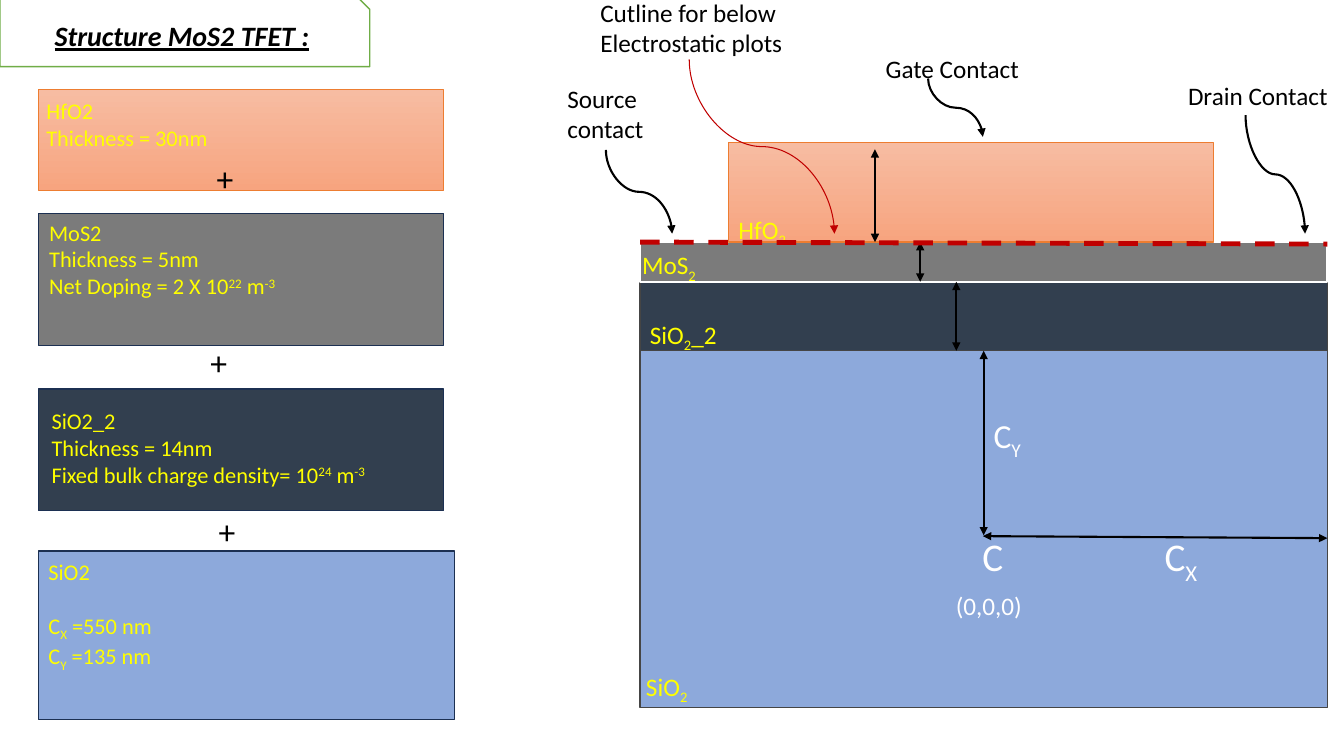
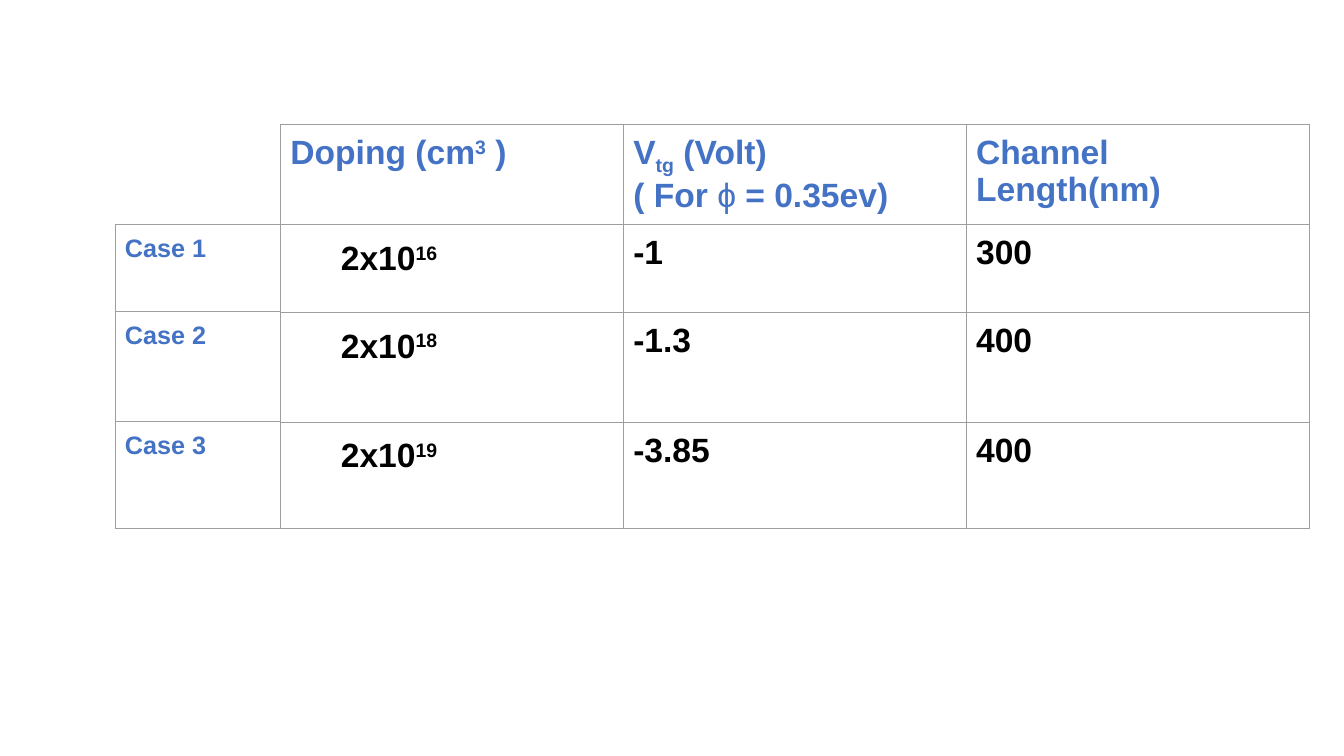
from lxml.etree import SubElement
from pptx import Presentation
from pptx.dml.color import RGBColor
from pptx.enum.dml import MSO_LINE
from pptx.enum.shapes import MSO_CONNECTOR as LINK, MSO_SHAPE as SHAPE
from pptx.enum.text import MSO_ANCHOR as ANCHOR, PP_ALIGN as ALIGN
from pptx.oxml.ns import qn
from pptx.util import Cm, Pt

WHITE, BLACK, YELLOW, RED = "FFFFFF", "000000", "FFFF00", "C00000"
OXIDE, CHARGED_OXIDE, CHANNEL = "8DA9DB", "323F4F", "7B7B7B"
DIELECTRIC = ("F7BCA2", "F7A47F")
DIELECTRIC_EDGE, CARD_EDGE, LAYER_EDGE = "ED7D31", "1C3052", "454545"
TITLE_EDGE, TABLE_BLUE, TABLE_EDGE = "70AD47", "4472C4", "9E9E9E"
BODY_FONT, TABLE_FONT = "Calibri", "Arial"

DEVICE_LEFT, DEVICE_WIDTH = 16.13, 17.32
DEVICE_RIGHT = DEVICE_LEFT + DEVICE_WIDTH
CHANNEL_TOP, CHARGED_TOP, OXIDE_TOP, OXIDE_BOTTOM = 6.1, 7.1, 8.84, 17.83


def rgb(color):
    return RGBColor.from_string(color)


def sub(text):
    return text, {"baseline": "-25000"}


def sup(text):
    return text, {"baseline": "30000"}


def light(text):
    return text, {"bold": False}


def write(frame, paragraphs, size=18, color=BLACK, font=BODY_FONT, bold=False,
          italic=False, underline=False, align=ALIGN.LEFT, line_spacing=None,
          indent=0, gap=None):
    """Fill a frame; a paragraph is a string or a list of runs.

    gap is (paragraph index, points before that paragraph).
    """
    frame.word_wrap = True
    for index, runs in enumerate(paragraphs):
        paragraph = frame.paragraphs[0] if index == 0 else frame.add_paragraph()
        paragraph.alignment = align
        if line_spacing:
            paragraph.line_spacing = line_spacing
        if indent:
            paragraph._p.get_or_add_pPr().set("marL", str(Cm(indent)))
        if gap and gap[0] == index:
            paragraph.space_before = Pt(gap[1])
        for piece in [runs] if isinstance(runs, str) else runs:
            text, change = (piece, {}) if isinstance(piece, str) else piece
            run = paragraph.add_run()
            run.text = text
            run.font.name, run.font.size = font, Pt(size)
            run.font.bold = change.get("bold", bold)
            run.font.italic, run.font.underline = italic, underline
            run.font.color.rgb = rgb(color)
            if "baseline" in change:
                run.font._element.set("baseline", change["baseline"])


def label(slide, left, top, width, height, *paragraphs, **text_format):
    box = slide.shapes.add_textbox(Cm(left), Cm(top), Cm(width), Cm(height))
    write(box.text_frame, paragraphs, **text_format)


def block(slide, left, top, width, height, fill, edge, weight=1.0, kind=SHAPE.RECTANGLE):
    """Draw an outlined shape; a pair of colours makes a downward gradient."""
    shape = slide.shapes.add_shape(kind, Cm(left), Cm(top), Cm(width), Cm(height))
    shape.shadow.inherit = False
    if isinstance(fill, tuple):
        shape.fill.gradient()
        shape.fill.gradient_angle = 270
        for stop, color in zip(shape.fill.gradient_stops, fill):
            stop.color.rgb = rgb(color)
    else:
        shape.fill.solid()
        shape.fill.fore_color.rgb = rgb(fill)
    shape.line.color.rgb = rgb(edge)
    shape.line.width = Pt(weight)
    return shape


def card(slide, top, width, height, fill, edge, inset, paragraphs, gap=None):
    shape = block(slide, 0.97, top, width, height, fill, edge)
    frame = shape.text_frame
    frame.vertical_anchor = ANCHOR.TOP
    frame.margin_left, frame.margin_top = Cm(inset[0]), Cm(inset[1])
    write(frame, paragraphs, size=16, color=YELLOW, gap=gap)


def connect(slide, kind, start, end, color, weight, heads=()):
    line = slide.shapes.add_connector(kind, *(Cm(v) for v in (*start, *end)))
    line.line.color.rgb = rgb(color)
    line.line.width = Pt(weight)
    for head in heads:
        SubElement(line.line._get_or_add_ln(), qn(f"a:{head}"), type="triangle")
    SubElement(line._element.spPr, qn("a:effectLst"))
    return line


def measure(slide, start, end):
    """Draw a double-headed dimension arrow."""
    return connect(slide, LINK.STRAIGHT, start, end, BLACK, 1.5, ("headEnd", "tailEnd"))


def callout(slide, start, end, color=BLACK, weight=1.5):
    """Draw a curved arrow that leaves and arrives vertically."""
    middle_x, middle_y = (start[0] + end[0]) / 2, (start[1] + end[1]) / 2
    half_x, half_y = (end[0] - start[0]) / 2, (end[1] - start[1]) / 2
    arrow = connect(slide, LINK.CURVE, (middle_x + half_y, middle_y - half_x),
                    (middle_x - half_y, middle_y + half_x), color, weight, ("tailEnd",))
    arrow._element.spPr.find(qn("a:xfrm")).set("rot", "16200000")


def grid(slide, left, top, widths, heights):
    """Add an unfilled table with thin grey borders."""
    table = slide.shapes.add_table(len(heights), len(widths), Cm(left), Cm(top),
                                   Cm(sum(widths)), Cm(sum(heights))).table
    table.first_row = table.horz_banding = False
    for column, width in zip(table.columns, widths):
        column.width = Cm(width)
    for row, height in zip(table.rows, heights):
        row.height = Cm(height)
    for cell in table.iter_cells():
        cell.margin_left = cell.margin_right = Cm(0.25)
        cell.margin_top = cell.margin_bottom = Cm(0.25)
        properties = cell._tc.get_or_add_tcPr()
        for side in ("lnL", "lnR", "lnT", "lnB"):
            border = SubElement(properties, qn(f"a:{side}"), w=str(Pt(0.75)))
            SubElement(SubElement(border, qn("a:solidFill")), qn("a:srgbClr"), val=TABLE_EDGE)
        cell.fill.background()
    return table


def draw_device(slide):
    layers = [
        (OXIDE_TOP, OXIDE_BOTTOM, OXIDE, LAYER_EDGE, 1),
        (CHARGED_TOP, OXIDE_TOP, CHARGED_OXIDE, LAYER_EDGE, 1),
        (CHANNEL_TOP, CHARGED_TOP, CHANNEL, WHITE, 1.5),
    ]
    oxide, _, _ = [
        block(slide, DEVICE_LEFT, top, DEVICE_WIDTH, bottom - top, fill, edge, weight)
        for top, bottom, fill, edge, weight in layers
    ]
    block(slide, 18.36, 3.58, 12.22, 2.52, DIELECTRIC, DIELECTRIC_EDGE, 0.75)

    center_x = DEVICE_LEFT + DEVICE_WIDTH / 2
    depth = measure(slide, (center_x, OXIDE_TOP), (center_x, 13.49))
    depth.begin_connect(oxide, 0)
    for x, top, bottom in [(24.1, CHARGED_TOP, OXIDE_TOP),
                           (23.19, CHANNEL_TOP, CHARGED_TOP),
                           (22.05, 3.76, CHANNEL_TOP)]:
        measure(slide, (x, top), (x, bottom))
    measure(slide, (24.77, 13.51), (DEVICE_RIGHT, 13.56))

    label(slide, 24.79, 10.34, 3.56, 1.27, ["C", sub("Y")], size=24, color=WHITE)
    label(slide, 24.02, 13.3, 2, 1.45, "C", size=28, color=WHITE, align=ALIGN.CENTER)
    label(slide, 29.1, 13.3, 2, 1.45, ["C", sub("X")], size=28, color=WHITE)
    label(slide, 23.42, 14.75, 3, 1.02, "(0,0,0)", color=WHITE, align=ALIGN.CENTER)
    for left, top, runs in [(16.13, 7.92, ["SiO", sub("2"), "_2"]),
                            (15.93, 6.17, ["MoS", sub("2")]),
                            (18.36, 5.28, ["HfO", sub("2")]),
                            (16.03, 16.79, ["SiO", sub("2")])]:
        label(slide, left, top, 2.3, 1.02, runs, color=YELLOW)


def draw_recipe(slide):
    """Stack the material cards with a plus sign after each but the last."""
    card(slide, 13.89, 10.49, 4.24, OXIDE, CARD_EDGE, (0.25, 0.18),
         ["SiO2", ["C", sub("X"), " =550 nm"], ["C", sub("Y"), " =135 nm"]], gap=(1, 19))
    card(slide, 9.8, 10.21, 3.07, CHARGED_OXIDE, CARD_EDGE, (0.33, 0.46),
         ["SiO2_2", "Thickness = 14nm",
          ["Fixed bulk charge density= 10", sup("24"), " m", sup("-3")]])
    card(slide, 5.38, 10.21, 3.33, CHANNEL, CARD_EDGE, (0.27, 0.13),
         ["MoS2", "Thickness = 5nm",
          ["Net Doping = 2 X 10", sup("22"), " m", sup("-3")]])
    card(slide, 2.26, 10.21, 2.54, DIELECTRIC, DIELECTRIC_EDGE, (0.2, 0.2),
         ["HfO2", "Thickness = 30nm"])
    for left, top in [(5.21, 3.86), (5.05, 8.48), (5.26, 12.75)]:
        label(slide, left, top, 1.02, 1.27, "+", size=24)


def draw_callouts(slide):
    callout(slide, (15.27, 3.78), (16.94, 5.89))
    label(slide, 14.05, 1.98, 2.44, 1.8, "Source", "contact")
    callout(slide, (23.39, 1.98), (24.77, 3.45))
    label(slide, 22.07, 1.22, 3.91, 1.02, "Gate Contact")
    callout(slide, (31.39, 2.9), (32.89, 5.89))
    label(slide, 29.69, 1.9, 4.06, 1.02, "Drain Contact")

    cutline = connect(slide, LINK.STRAIGHT, (DEVICE_LEFT, CHANNEL_TOP),
                      (DEVICE_RIGHT, 6.15), RED, 3.5)
    cutline.line.dash_style = MSO_LINE.DASH
    callout(slide, (17.37, 1.5), (21.03, 5.89), RED, 0.75)
    label(slide, 14.88, -0.2, 5.28, 1.8, "Cutline for below", "Electrostatic plots")


def structure_slide(slide):
    draw_device(slide)
    draw_recipe(slide)
    title = block(slide, 0, -0.05, 9.32, 1.73, WHITE, TITLE_EDGE, kind=SHAPE.SNIP_1_RECTANGLE)
    title.text_frame.vertical_anchor = ANCHOR.MIDDLE
    write(title.text_frame, ["Structure MoS2 TFET :"], size=20, bold=True,
          italic=True, underline=True, align=ALIGN.CENTER)
    draw_callouts(slide)


def cases_slide(slide):
    header_height, case_heights = 2.52, [2.21, 2.77, 2.69]
    left, top, case_width = 2.9, 3.13, 4.17
    headers = [
        [["Doping (cm", sup("3"), " )"]],
        [["V", sub("tg"), " (Volt)"], ["( For ", light("ϕ"), " = 0.35ev)"]],
        ["Channel Length(nm)"],
    ]
    cases = [("16", "-1", "300"), ("18", "-1.3", "400"), ("19", "-3.85", "400")]
    heading = {"color": TABLE_BLUE, "font": TABLE_FONT, "bold": True}
    value = {"size": 24, "font": TABLE_FONT, "bold": True}

    values = grid(slide, left + case_width, top, [8.64] * 3, [header_height, *case_heights])
    names = grid(slide, left, top + header_height, [case_width], case_heights)
    for column, paragraphs in enumerate(headers):
        write(values.cell(0, column).text_frame, paragraphs, size=24, **heading)
    for row, (exponent, voltage, length) in enumerate(cases, 1):
        write(names.cell(row - 1, 0).text_frame, [f"Case {row}"], **heading)
        write(values.cell(row, 0).text_frame, [["2x10", sup(exponent)]],
              line_spacing=1.15, indent=1.27, **value)
        write(values.cell(row, 1).text_frame, [voltage], **value)
        write(values.cell(row, 2).text_frame, [length], **value)


def main():
    deck = Presentation()
    deck.slide_width, deck.slide_height = Cm(33.87), Cm(19.05)
    blank = deck.slide_layouts[6]
    for build in (structure_slide, cases_slide):
        build(deck.slides.add_slide(blank))
    deck.save("out.pptx")


if __name__ == "__main__":
    main()
